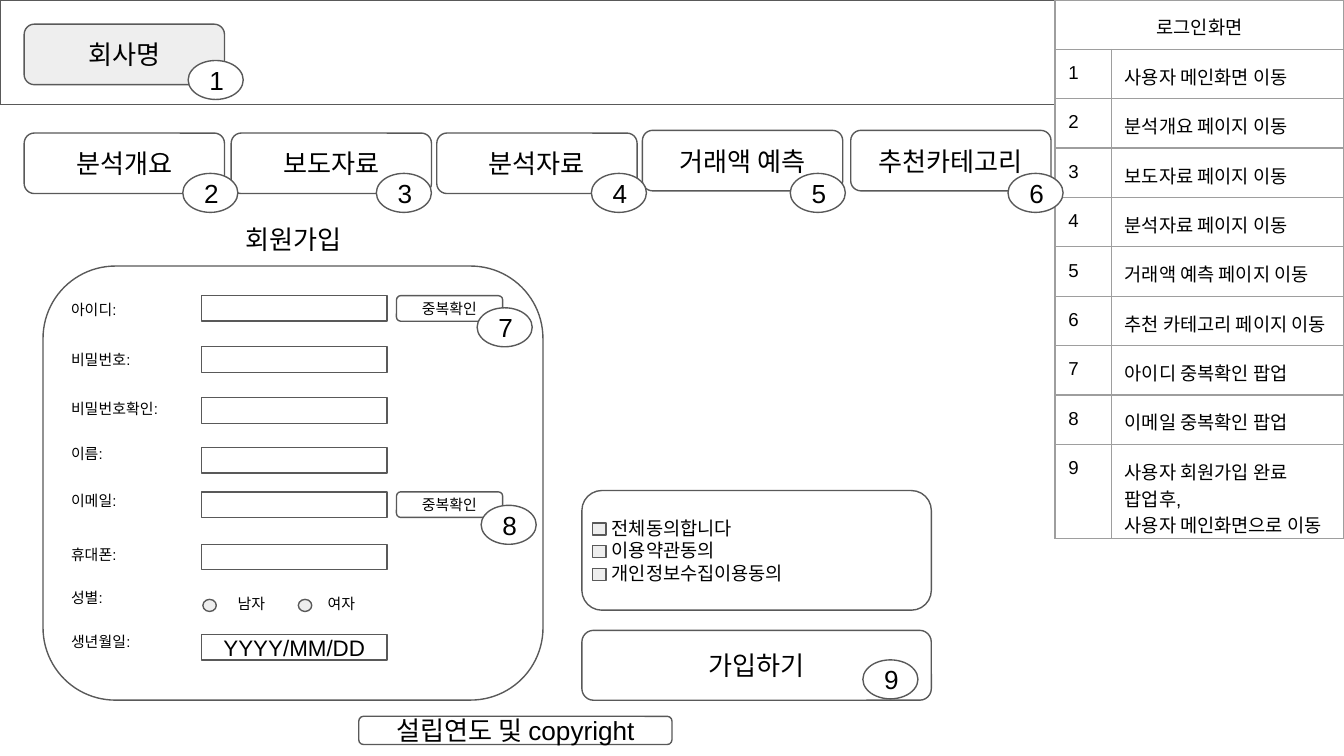
from pptx import Presentation
from pptx.dml.color import RGBColor
from pptx.enum.shapes import MSO_SHAPE
from pptx.enum.text import MSO_ANCHOR, PP_ALIGN
from pptx.oxml import parse_xml
from pptx.oxml.ns import nsdecls
from pptx.util import Inches, Pt

HUES = {"ink": "000000", "line": "595959", "grid": "9E9E9E", "pale": "EEEEEE", "white": "FFFFFF"}
FONT = "Arial"
ROUND, RECT = MSO_SHAPE.ROUNDED_RECTANGLE, MSO_SHAPE.RECTANGLE
DOT, OVAL = MSO_SHAPE.FLOWCHART_CONNECTOR, MSO_SHAPE.OVAL
LEFT, MID = PP_ALIGN.LEFT, PP_ALIGN.CENTER


def hue(name):
    """Return a named colour."""
    return RGBColor.from_string(HUES[name])


def write(frame, text, size, align):
    """Fill a text frame, one paragraph for each line."""
    for i, line in enumerate(text.split("\n")):
        para = frame.paragraphs[0] if i == 0 else frame.add_paragraph()
        para.alignment = align
        run = para.add_run()
        run.text = line
        run.font.size, run.font.name = Pt(size), FONT
        run.font.color.rgb = hue("ink")


def pad(frame, left=0.1):
    """Set wrapping and insets of a text frame."""
    frame.word_wrap = True
    frame.margin_left = Inches(left)
    frame.margin_right = frame.margin_top = frame.margin_bottom = Inches(0.1)


def block(slide, kind, box, text="", size=14, fill=None, align=MID, left=0.1):
    """Draw an outlined shape with optional text."""
    shape = slide.shapes.add_shape(kind, *map(Inches, box))
    shape.shadow.inherit = False
    if fill:
        shape.fill.solid()
        shape.fill.fore_color.rgb = hue(fill)
    else:
        shape.fill.background()
    shape.line.color.rgb, shape.line.width = hue("line"), Pt(0.75)
    if text:
        pad(shape.text_frame, left)
        shape.text_frame.vertical_anchor = MSO_ANCHOR.MIDDLE
        write(shape.text_frame, text, size, align)


def label(slide, box, text, size=8, align=LEFT):
    """Place plain text."""
    frame = slide.shapes.add_textbox(*map(Inches, box)).text_frame
    pad(frame)
    write(frame, text, size, align)


def badge(slide, x, y, num):
    """Draw a numbered marker."""
    block(slide, DOT, (x, y, 0.41, 0.29), str(num), fill="white")


def header(slide, x, y, w, h):
    """Draw the top band with the firm name."""
    block(slide, RECT, (x, y, w, h))
    block(slide, ROUND, (x + 0.18, y + 0.18, 1.49, 0.45), "회사명", fill="pale")
    badge(slide, x + 1.4, y + 0.45, 1)


def menu(slide, x, y):
    """Draw the menu tabs, then their markers."""
    tabs = [("분석개요", 0, 0.02, 1.18), ("보도자료", 1.54, 0.02, 2.62),
            ("분석자료", 3.07, 0.02, 4.22), ("거래액 예측", 4.6, 0, 5.7),
            ("추천카테고리", 6.15, 0, 7.32)]
    for text, dx, dy, mark in tabs:
        block(slide, ROUND, (x + dx, y + dy, 1.49, 0.45), text, fill="white")
    for num, tab in enumerate(tabs, 2):
        badge(slide, x + tab[3], y + 0.32, num)


def form(slide, x, y, w, h):
    """Draw the sign-up form and its title."""
    label(slide, (x + 1.07, y - 0.42, 1.59, 0.44), "회원가입", 14, MID)
    block(slide, ROUND, (x, y, w, h))
    rows = [("아이디:", 0.19, 0.22, ""), ("비밀번호:", 0.56, 0.6, ""),
            ("비밀번호확인:", 0.93, 0.98, ""), ("이름:", 1.26, 1.35, ""),
            ("이메일:", 1.61, 1.68, ""), ("휴대폰:", 2.01, 2.07, ""),
            ("성별:", 2.33, None, ""), ("생년월일:", 2.66, 2.74, "YYYY/MM/DD")]
    for name, dy, top, hint in rows:
        label(slide, (x + 0.11, y + dy, 1.18, 0.34), name)
        if top is not None:
            block(slide, RECT, (x + 1.18, y + top, 1.38, 0.19), hint, 12, "white")
    for dx, gap, text in [(1.19, 0.16, "남자"), (1.9, 0.12, "여자")]:
        block(slide, OVAL, (x + dx, y + 2.48, 0.1, 0.09), fill="pale")
        label(slide, (x + dx + gap, y + 2.38, 0.48, 0.34), text)
    for num, top, dx, dy in [(7, 0.22, 3.23, 0.31), (8, 1.68, 3.26, 1.78)]:
        block(slide, ROUND, (x + 2.63, y + top, 0.79, 0.19), "중복확인", 8)
        badge(slide, x + dx, y + dy, num)


def consent(slide, x, y, w):
    """Draw the consent list and the join button."""
    terms = ["전체동의합니다", "이용약관동의", "개인정보수집이용동의"]
    block(slide, ROUND, (x, y, w, 0.89), "\n".join(terms), 10, align=LEFT, left=0.18)
    for i in range(len(terms)):
        block(slide, RECT, (x + 0.08, y + 0.24 + 0.17 * i, 0.1, 0.09), fill="pale")
    block(slide, ROUND, (x, y + 1.04, w, 0.52), "가입하기")
    badge(slide, x + 2.09, y + 1.26, 9)


def edge(cell):
    """Give a cell thin grid lines."""
    props = cell._tc.get_or_add_tcPr()
    for i, side in enumerate(("lnL", "lnR", "lnT", "lnB")):
        props.insert(i, parse_xml(
            f'<a:{side} {nsdecls("a")} w="9525"><a:solidFill>'
            f'<a:srgbClr val="{HUES["grid"]}"/></a:solidFill></a:{side}>'))


def guide(slide, x, y):
    """Draw the table that explains each marker."""
    notes = ["사용자 메인화면 이동", "분석개요 페이지 이동", "보도자료 페이지 이동",
             "분석자료 페이지 이동", "거래액 예측 페이지 이동", "추천 카테고리 페이지 이동",
             "아이디 중복확인 팝업", "이메일 중복확인 팝업",
             "사용자 회원가입 완료 팝업후,\n사용자 메인화면으로 이동"]
    rows = [("로그인화면", "")] + [(str(i), note) for i, note in enumerate(notes, 1)]
    wide, high = (0.42, 1.73), 0.31
    table = slide.shapes.add_table(len(rows), 2, Inches(x), Inches(y), Inches(sum(wide)),
                                   Inches(high * len(rows))).table
    table.first_row = table.horz_banding = False
    for col, size in zip(table.columns, wide):
        col.width = Inches(size)
    table.cell(0, 0).merge(table.cell(0, 1))
    for r, row in enumerate(rows):
        table.rows[r].height = Inches(high)
        for c, text in enumerate(row):
            cell = table.cell(r, c)
            cell.fill.background()
            edge(cell)
            cell.margin_left = cell.margin_right = Inches(0.1)
            cell.margin_top = cell.margin_bottom = Inches(0.1)
            if text:
                write(cell.text_frame, text, 10, LEFT if r else MID)


def main():
    """Build the slide and save it."""
    deck = Presentation()
    deck.slide_width = Inches(10)
    deck.slide_height = deck.slide_width * 9 // 16
    slide = deck.slides.add_slide(deck.slide_layouts[6])
    header(slide, 0, 0, 7.85, 0.78)
    form(slide, 0.32, 1.98, 3.72, 3.23)
    consent(slide, 4.33, 3.65, 2.6)
    block(slide, ROUND, (2.67, 5.33, 2.33, 0.21), "설립연도 및 copyright")
    guide(slide, 7.85, 0)
    menu(slide, 0.18, 0.97)
    deck.save("out.pptx")


main()
